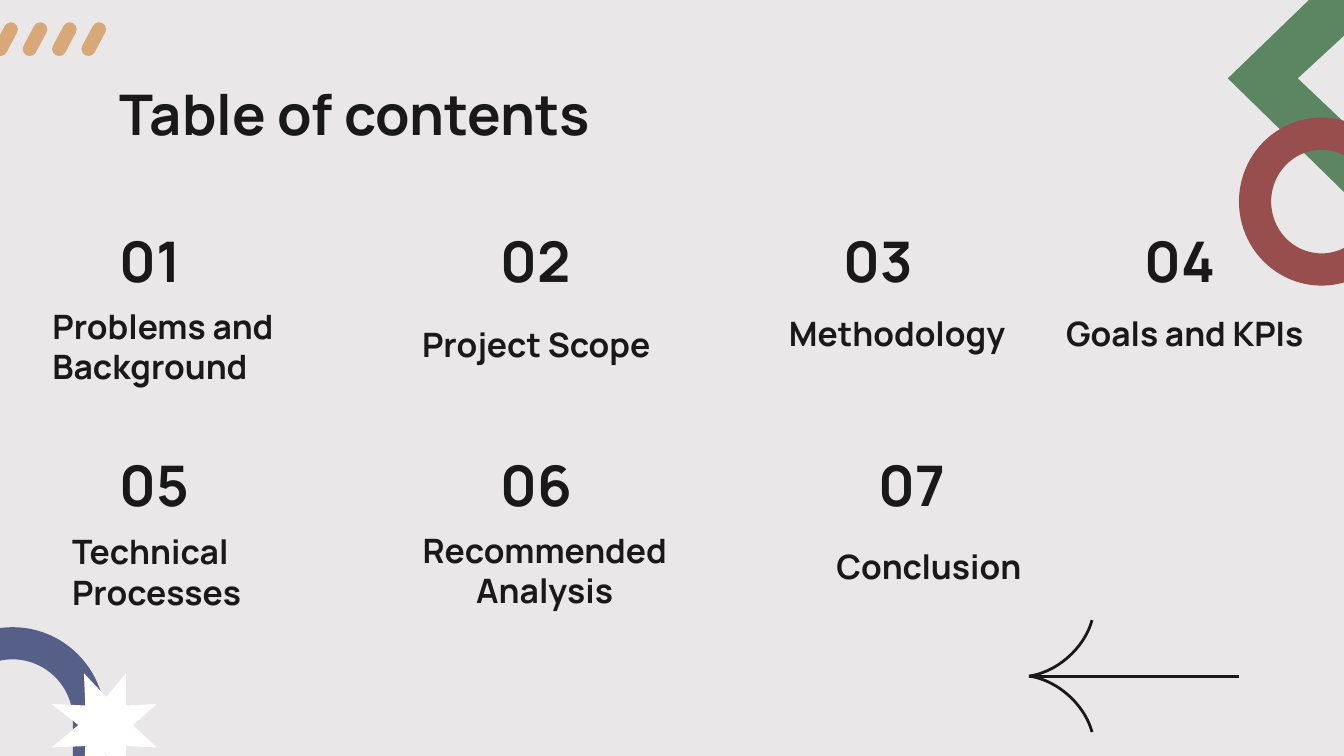
from pptx import Presentation
from pptx.dml.color import RGBColor
from pptx.enum.shapes import MSO_CONNECTOR, MSO_SHAPE
from pptx.enum.text import MSO_ANCHOR as VA, MSO_AUTO_SIZE, PP_ALIGN as AL
from pptx.oxml.ns import qn
from pptx.util import Pt
from lxml.etree import SubElement

PX = 9525
INK = RGBColor(0x19, 0x19, 0x19)
PAPER = RGBColor(0xE9, 0xE7, 0xE8)
SAND = RGBColor(0xD8, 0xA8, 0x79)
BLUE = RGBColor(0x55, 0x5F, 0x88)
WHITE = RGBColor(0xFF, 0xFF, 0xFF)
GREEN = RGBColor(0x5C, 0x86, 0x62)
RED = RGBColor(0x97, 0x4E, 0x4D)


def curve(a, b, c, d, steps=24):
    points = []
    for i in range(steps + 1):
        t = i / steps
        u = 1 - t
        weights = u ** 3, 3 * u * u * t, 3 * u * t * t, t ** 3
        points.append(tuple(sum(w * p[k] for w, p in zip(weights, (a, b, c, d)))
                            for k in (0, 1)))
    return points


def write(sp, box, text, size, anchor=VA.TOP, align=AL.LEFT):
    for name, value in zip(("left", "top", "width", "height"), box):
        setattr(sp, name, value * PX)
    tf = sp.text_frame
    frame = {"word_wrap": True, "auto_size": MSO_AUTO_SIZE.NONE, "vertical_anchor": anchor}
    frame.update({f"margin_{side}": Pt(7.2) for side in ("left", "right", "top", "bottom")})
    for name, value in frame.items():
        setattr(tf, name, value)
    p = tf.paragraphs[0]
    p.alignment = align
    r = p.add_run()
    r.text = text
    for name, value in {"name": "Manrope", "size": Pt(size), "bold": True}.items():
        setattr(r.font, name, value)
    r.font.color.rgb = INK


prs = Presentation()
prs.slide_width, prs.slide_height = 960 * PX, 540 * PX
s = prs.slides.add_slide(prs.slide_layouts[5])
s.background.fill.solid()
s.background.fill.fore_color.rgb = PAPER
write(s.shapes.title, (76, 47, 809, 60), "Table of contents", 30)

for i in range(4):
    sp = s.shapes.add_shape(MSO_SHAPE.ROUNDED_RECTANGLE,
                            (-1 + 21 * i) * PX, 15 * PX, 10 * PX, 26 * PX)
    sp.adjustments[0] = 0.5
    sp.rotation = 28
    sp.shadow.inherit = False
    sp.fill.solid()
    sp.fill.fore_color.rgb = SAND
    sp.line.fill.background()

arch = []
for radius, bottom in ((66, 708), (43, 686)):
    left, mid, right = 9 - radius, 9, 9 + radius
    base, top, pull = 514, 514 - radius, 0.55 * radius
    arch.append([(left, bottom)]
                + curve((left, base), (left, base - pull), (mid - pull, top), (mid, top))
                + curve((mid, top), (mid + pull, top), (right, base - pull), (right, base))
                + [(right, bottom)])
star = [(76, 498), (90, 481), (90, 504), (112, 503), (95, 518), (112, 534),
        (90, 533), (90, 556), (76, 539), (60, 556), (61, 533), (37, 534),
        (56, 518), (37, 503), (61, 504), (60, 481)]
diamond = [[(966, -30), (877, 56), (966, 143), (1054, 56)],
           [(966, 20), (1003, 56), (966, 93), (927, 56)]]
barbs = [curve((735, 483), (756, 483 + 3 * d), (775, 483 + 21 * d), (780, 483 + 40 * d))
         for d in (1, -1)]

for contours, color in ((arch, BLUE), ([star], WHITE), (diamond, GREEN),
                        ([barbs[0]], None), ([barbs[1]], None)):
    fb = None
    for contour in contours:
        points = [(round(x * PX), round(y * PX)) for x, y in contour]
        if fb is None:
            fb = s.shapes.build_freeform(*points[0], scale=1.0)
        else:
            fb.move_to(*points[0])
        fb.add_line_segments(points[1:], close=color is not None)
    sp = fb.convert_to_shape()
    sp.shadow.inherit = False
    if color is None:
        sp.fill.background()
        sp.line.color.rgb = INK
        sp.line.width = Pt(1.5)
    else:
        sp.fill.solid()
        sp.fill.fore_color.rgb = color
        sp.line.fill.background()

ring = s.shapes.add_shape(MSO_SHAPE.DONUT, 885 * PX, 84 * PX, 118 * PX, 120 * PX)
ring.adjustments[0] = 0.195
ring.shadow.inherit = False
ring.fill.solid()
ring.fill.fore_color.rgb = RED
ring.line.fill.background()

shaft = s.shapes.add_connector(MSO_CONNECTOR.STRAIGHT, 885 * PX, 483 * PX, 735 * PX, 483 * PX)
shaft.line.color.rgb = INK
shaft.line.width = Pt(1.5)
SubElement(shaft._element.spPr, qn("a:effectLst"))

items = [
    (76, 162, "Problems and Background", (28, 209, 211, 75), AL.LEFT),
    (348, 162, "Project Scope", (292, 222, 198, 51), AL.LEFT),
    (593, 162, "Methodology", (554, 214, 198, 43), AL.LEFT),
    (808, 162, "Goals and KPIs", (752, 214, 198, 75), AL.LEFT),
    (76, 322, "Technical Processes", (42, 370, 142, 75), AL.LEFT),
    (348, 322, "Recommended Analysis", (272, 369, 234, 75), AL.CENTER),
    (618, 322, "Conclusion", (588, 380, 164, 51), AL.LEFT),
]
for n, (x, y, label, box, align) in enumerate(items, 1):
    write(s.shapes.add_textbox(0, 0, 0, 0), (x, y, 77, 47), f"{n:02}", 30, VA.MIDDLE)
    write(s.shapes.add_textbox(0, 0, 0, 0), box, label, 18, align=align)

prs.save("out.pptx")
